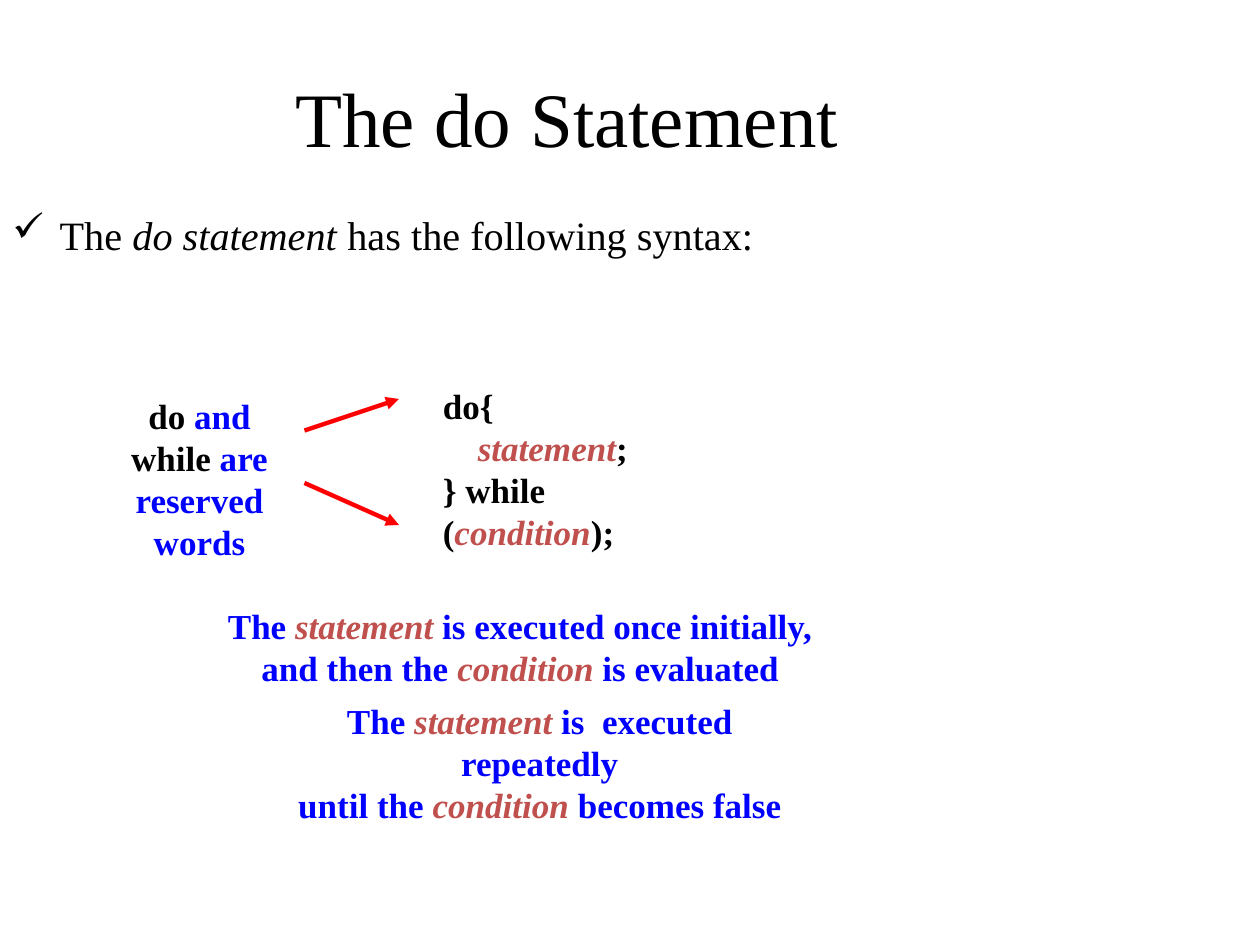
from dataclasses import dataclass

from lxml import etree
from pptx import Presentation
from pptx.dml.color import RGBColor
from pptx.enum.shapes import MSO_CONNECTOR
from pptx.enum.text import MSO_ANCHOR, PP_ALIGN
from pptx.oxml.ns import qn
from pptx.util import Pt

LEFT, CENTER = PP_ALIGN.LEFT, PP_ALIGN.CENTER
TOP, MIDDLE = MSO_ANCHOR.TOP, MSO_ANCHOR.MIDDLE
STRAIGHT = MSO_CONNECTOR.STRAIGHT


@dataclass(frozen=True)
class Theme:
    font: str = "Times New Roman"
    black: str = "000000"
    blue: str = "0000FF"
    brick: str = "C0504D"
    red: str = "FF0000"
    head: int = 44
    lead: int = 23
    note: int = 20
    line: float = 2.5


THEME = Theme()


def write(shape, lines, size=THEME.note, bold=True, align=CENTER,
          anchor=MIDDLE, wrap=True, inset=7.2):
    frame = shape.text_frame
    frame.word_wrap = wrap
    frame.vertical_anchor = anchor
    frame.margin_left = frame.margin_right = Pt(inset)
    frame.margin_top = frame.margin_bottom = Pt(3.6)
    for index, line in enumerate(lines):
        para = frame.paragraphs[0] if index == 0 else frame.add_paragraph()
        para.alignment = align
        for text, color, italic in line:
            run = para.add_run()
            run.text = text
            font = run.font
            font.name, font.size = THEME.font, Pt(size)
            font.bold, font.italic = bold, italic
            font.color.rgb = RGBColor.from_string(color)
    return frame.paragraphs


def black(text):
    return text, THEME.black, False


def blue(text):
    return text, THEME.blue, False


def term(text):
    return text, THEME.brick, True


def add_box(shapes, box):
    return shapes.add_textbox(*map(Pt, box))


def indent(para, margin, first=0):
    props = para._p.get_or_add_pPr()
    props.set("marL", str(Pt(margin)))
    props.set("indent", str(Pt(first)))
    return props


def add_title(slide, box):
    title = slide.shapes.title
    title.left, title.top, title.width, title.height = map(Pt, box)
    write(title, [[black("The do Statement")]], size=THEME.head, bold=False)


def add_lead(slide, box):
    line = [black("The "), ("do statement", THEME.black, True),
            black(" has the following syntax:")]
    para = write(add_box(slide.shapes, box), [line], size=THEME.lead,
                 bold=False, align=LEFT, anchor=TOP)[0]
    para.space_before = Pt(4.6)
    props = indent(para, 27, -27)
    etree.SubElement(props, qn("a:buChar")).set("char", "\u2713")


def add_code(slide, box):
    lines = [[black("do{")],
             [term("statement"), black(";")],
             [black("} while ("), term("condition"), black(");")]]
    shape = add_box(slide.shapes, box)
    paras = write(shape, lines, align=LEFT)
    shape.text_frame.margin_right = Pt(20)
    indent(paras[1], 20)


def add_arrow(shapes, start, end):
    arrow = shapes.add_connector(STRAIGHT, *map(Pt, start + end))
    arrow.line.color.rgb = RGBColor.from_string(THEME.red)
    arrow.line.width = Pt(THEME.line)
    tail = etree.SubElement(arrow.line._get_or_add_ln(), qn("a:tailEnd"))
    tail.set("type", "triangle")
    etree.SubElement(arrow._element.spPr, qn("a:effectLst"))


def add_words(slide, box):
    left, top, width, height = box
    shapes = slide.shapes.add_group_shape().shapes
    lines = [[black("do"), blue(" and")], [black("while"), blue(" are")],
             [blue("reserved")], [blue("words")]]
    write(add_box(shapes, box), lines, wrap=False)
    near = left + width + 13.5
    for start, end in ((24, 6), (54, 78)):
        add_arrow(shapes, (near, top + start), (near + 54, top + end))


def add_note(slide, box, first, last, **style):
    lines = [[blue("The "), term("statement"), blue(first)],
             [blue(last[0]), term("condition"), blue(last[1])]]
    write(add_box(slide.shapes, box), lines, **style)


def main():
    deck = Presentation()
    deck.slide_width, deck.slide_height = Pt(720), Pt(540)
    slide = deck.slides.add_slide(deck.slide_layouts[5])
    add_title(slide, (0, 21.6, 648, 90))
    add_lead(slide, (0, 116.6, 648, 46))
    add_code(slide, (246, 228, 175.7, 79.2))
    add_words(slide, (67.5, 222, 93, 103))
    add_note(slide, (123, 342, 348.5, 55.4), " is executed once initially,",
             ("and then the ", " is evaluated"), wrap=False)
    add_note(slide, (144, 408, 329, 55.4), " is  executed repeatedly",
             ("until the ", " becomes false"), inset=16)
    deck.save("out.pptx")


main()
